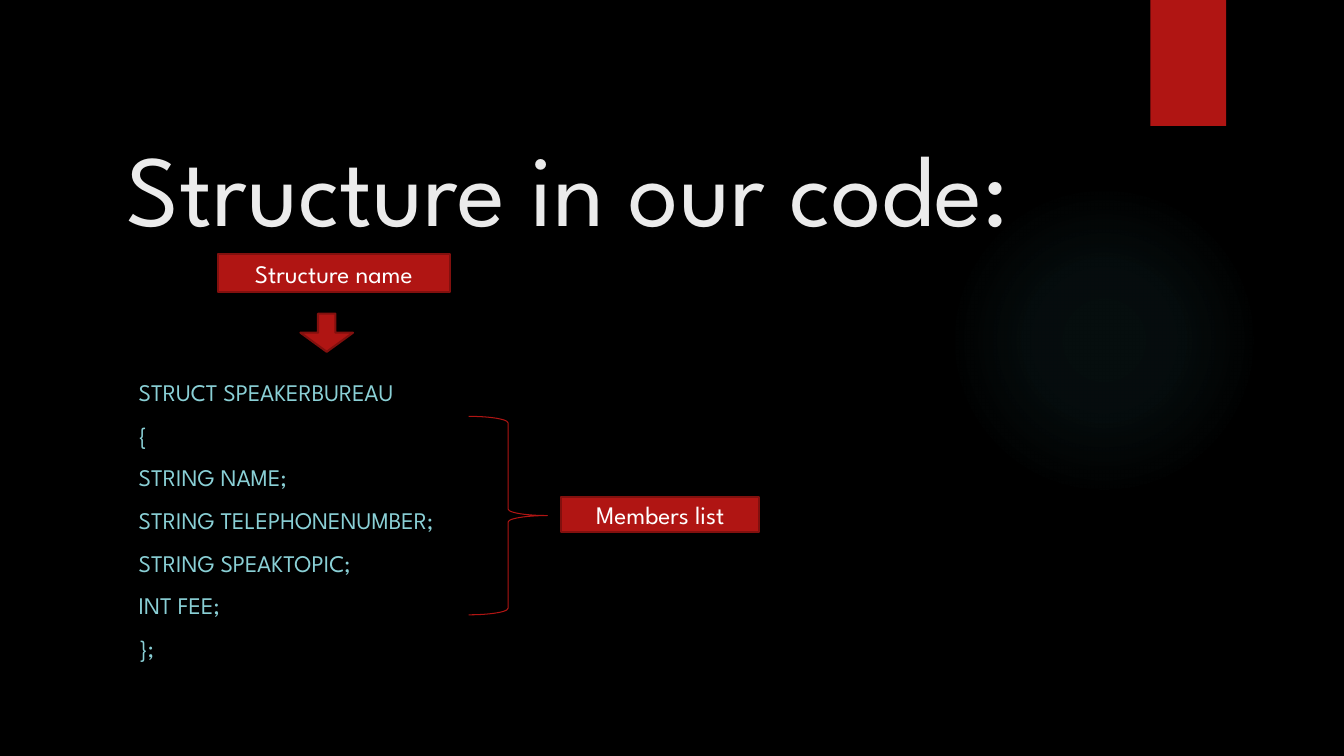
from lxml import etree
from pptx import Presentation
from pptx import util as u
from pptx.dml import color
from pptx.enum import shapes, text
from pptx.oxml import ns

FONT = "League Spartan"
RED, DARK_RED = "B01513", "82100E"
GLOW = "50B9C1"
GLOW_STOPS = [(0, 7), (36, 6), (69, 0)]
CODE_LINES = [
    "STRUCT SPEAKERBUREAU",
    "{",
    "STRING NAME;",
    "STRING TELEPHONENUMBER;",
    "STRING SPEAKTOPIC;",
    "INT FEE;",
    "};",
]


def rgb(hex_code):
    """Turn a hex string into a colour."""
    return color.RGBColor.from_string(hex_code)


def format_text(frame, size, hex_code, align, anchor):
    """Format every paragraph and run of a text frame."""
    frame.word_wrap = True
    frame.auto_size = text.MSO_AUTO_SIZE.NONE
    frame.vertical_anchor = anchor
    for line in frame.paragraphs:
        line.alignment = align
        for run in line.runs:
            run.font.name = FONT
            run.font.size = u.Pt(size)
            run.font.color.rgb = rgb(hex_code)


def add_block(slide, kind, box, fill=None, border=None, width=1.5):
    """Add a preset shape with a plain fill and border."""
    block = slide.shapes.add_shape(kind, *map(u.Pt, box))
    block.shadow.inherit = False
    if fill:
        block.fill.solid()
        block.fill.fore_color.rgb = rgb(fill)
    else:
        block.fill.background()
    if border:
        block.line.color.rgb = rgb(border)
        block.line.width = u.Pt(width)
    else:
        block.line.fill.background()
    return block


def add_label(slide, box, caption):
    """Add a red box with a centred caption."""
    label = add_block(slide, shapes.MSO_SHAPE.RECTANGLE, box, RED, DARK_RED)
    label.text_frame.text = caption
    format_text(label.text_frame, 18, "FFFFFF", text.PP_ALIGN.CENTER, text.MSO_ANCHOR.MIDDLE)


def add_glow(slide, box):
    """Add a circle with a faint radial gradient."""
    glow = add_block(slide, shapes.MSO_SHAPE.OVAL, box)
    blank = glow.fill._xPr.find(ns.qn("a:noFill"))
    gradient = etree.Element(ns.qn("a:gradFill"))
    stops = etree.SubElement(gradient, ns.qn("a:gsLst"))
    for position, opacity in GLOW_STOPS:
        stop = etree.SubElement(stops, ns.qn("a:gs"), pos=str(position * 1000))
        tint = etree.SubElement(stop, ns.qn("a:srgbClr"), val=GLOW)
        etree.SubElement(tint, ns.qn("a:alpha"), val=str(opacity * 1000))
    circle = etree.SubElement(gradient, ns.qn("a:path"), path="circle")
    etree.SubElement(circle, ns.qn("a:fillToRect"), dict.fromkeys("ltrb", "50000"))
    blank.getparent().replace(blank, gradient)


def set_title(slide, box, caption):
    """Place and format the title placeholder."""
    title = slide.shapes.title
    title.left, title.top, title.width, title.height = map(u.Pt, box)
    title.text_frame.text = caption
    format_text(title.text_frame, 72, "EBEBEB", text.PP_ALIGN.LEFT, text.MSO_ANCHOR.BOTTOM)


def add_code(slide, box):
    """Add the code listing, one paragraph a line."""
    code = slide.shapes.add_textbox(*map(u.Pt, box)).text_frame
    code.text = "\n".join(CODE_LINES)
    format_text(code, 17, "8AD0D6", text.PP_ALIGN.LEFT, text.MSO_ANCHOR.TOP)
    for line in code.paragraphs:
        line.space_before = u.Pt(10)


def main():
    """Build the slide and save it."""
    deck = Presentation()
    deck.slide_width, deck.slide_height = u.Pt(960), u.Pt(540)
    slide = deck.slides.add_slide(deck.slide_layouts[5])
    slide.background.fill.solid()
    slide.background.fill.fore_color.rgb = rgb("000000")

    add_glow(slide, (677.5, 131.8, 221.8, 221.8))
    add_block(slide, shapes.MSO_SHAPE.RECTANGLE, (821.8, 0, 54, 90), RED)
    set_title(slide, (83.5, 112.3, 694.8, 67.7), "Structure in our code:")
    add_code(slide, (92, 266.4, 694.8, 191.5))
    add_block(slide, shapes.MSO_SHAPE.RIGHT_BRACE, (334.8, 297.4, 56.2, 141.8), None, RED, 0.75)
    arrow = add_block(slide, shapes.MSO_SHAPE.DOWN_ARROW, (214.6, 224, 37.6, 27.3), RED, DARK_RED)
    arrow.adjustments[0] = 0.33
    add_label(slide, (155.5, 181.4, 165.8, 27.4), "Structure name")
    add_label(slide, (401, 355, 141.2, 25.2), "Members list")
    deck.save("out.pptx")


if __name__ == "__main__":
    main()
